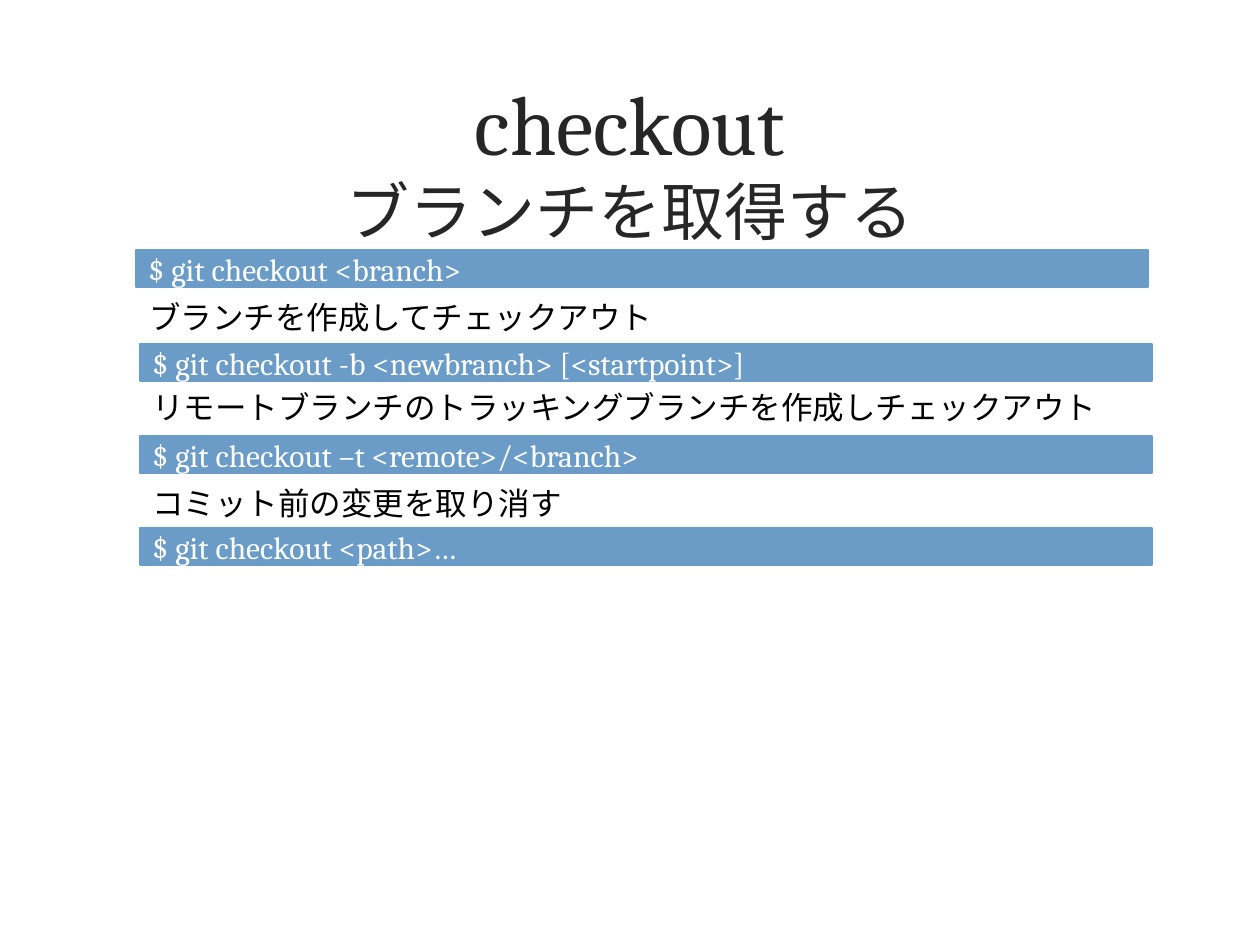
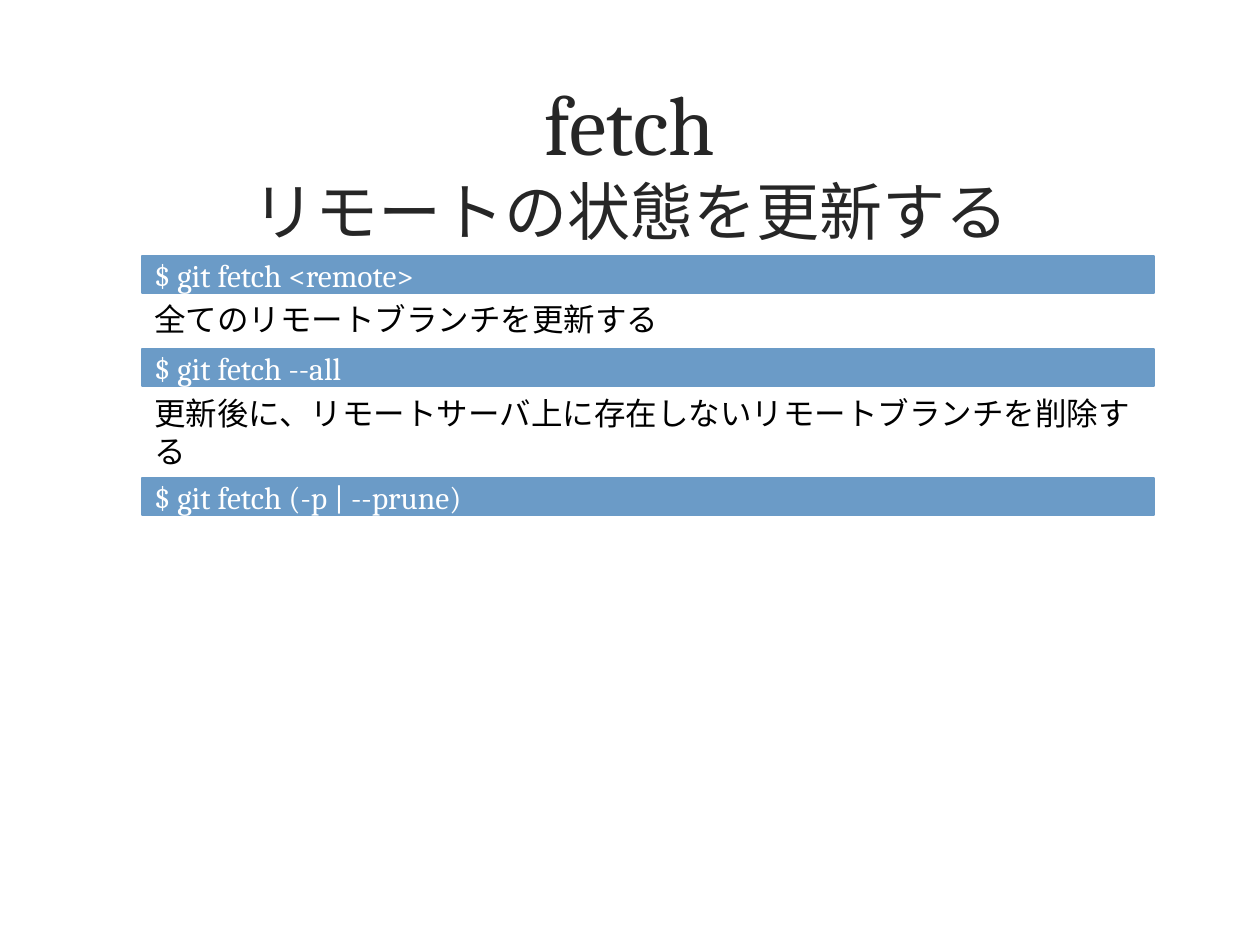
from typing import NamedTuple

from pptx import Presentation
from pptx.dml.color import RGBColor
from pptx.enum.shapes import MSO_SHAPE as Shape
from pptx.enum.text import MSO_ANCHOR as Anchor, MSO_AUTO_SIZE as AutoSize, PP_ALIGN as Align
from pptx.util import Emu, Pt

PX_PER_INCH = 126
COLORS = {"title": "262626", "bar": "6B9BC7", "command": "FFFFFF", "note": "000000"}
FONT = "Cambria"
ROW_WIDTH, BAR_HEIGHT, NOTE_HEIGHT = 1012, 37, 50


class Command(NamedTuple):
    left: int
    top: int
    text: str


class Note(NamedTuple):
    left: int
    top: int
    text: str
    height: int = NOTE_HEIGHT


class Topic(NamedTuple):
    name: str
    purpose: str
    rows: tuple[Command | Note, ...]


TOPICS = (
    Topic("checkout", "ブランチを取得する", (
        Command(136, 250, "$ git checkout <branch>"),
        Note(137, 292, "ブランチを作成してチェックアウト"),
        Command(140, 344, "$ git checkout -b <newbranch> [<startpoint>]"),
        Note(140, 382, "リモートブランチのトラッキングブランチを作成しチェックアウト"),
        Command(140, 436, "$ git checkout –t <remote>/<branch>"),
        Note(140, 478, "コミット前の変更を取り消す"),
        Command(140, 528, "$ git checkout <path>…"),
    )),
    Topic("fetch", "リモートの状態を更新する", (
        Command(142, 256, "$ git fetch <remote>"),
        Note(142, 294, "全てのリモートブランチを更新する"),
        Command(142, 349, "$ git fetch --all"),
        Note(142, 388, "更新後に、リモートサーバ上に存在しないリモートブランチを削除する", 89),
        Command(142, 478, "$ git fetch (-p | --prune)"),
    )),
)


def px(length: int) -> Emu:
    return Emu(round(length * 914400 / PX_PER_INCH))


def box(*lengths: int) -> list[Emu]:
    return [px(length) for length in lengths]


def write_text(frame, text: str, *, color: str, sizes: tuple[int, ...] = (18,),
               align=Align.LEFT, anchor=Anchor.MIDDLE, auto_size=AutoSize.NONE) -> None:
    """Fill the frame with one paragraph, giving each line of text its own size."""
    frame.word_wrap = True
    frame.auto_size = auto_size
    frame.vertical_anchor = anchor
    paragraph = frame.paragraphs[0]
    paragraph.alignment = align
    for index, (line, size) in enumerate(zip(text.split("\n"), sizes)):
        if index:
            paragraph.add_line_break()
        run = paragraph.add_run()
        run.text = line
        run.font.name = FONT
        run.font.size = Pt(size)
        run.font.color.rgb = RGBColor.from_string(COLORS[color])


def draw_title(slide, topic: Topic) -> None:
    title = slide.shapes.title
    title.left, title.top, title.width, title.height = box(76, 60, 1108, 199)
    write_text(title.text_frame, f"{topic.name}\n{topic.purpose}",
               color="title", sizes=(48, 36), align=Align.CENTER)


def draw_command(slide, command: Command) -> None:
    bar = slide.shapes.add_shape(
        Shape.RECTANGLE, *box(command.left, command.top, ROW_WIDTH, BAR_HEIGHT))
    bar.shadow.inherit = False
    bar_color = RGBColor.from_string(COLORS["bar"])
    bar.fill.solid()
    bar.fill.fore_color.rgb = bar_color
    bar.line.color.rgb = bar_color
    bar.line.width = Pt(1.5)
    write_text(bar.text_frame, command.text, color="command")


def draw_note(slide, note: Note) -> None:
    caption = slide.shapes.add_textbox(*box(note.left, note.top, ROW_WIDTH, note.height))
    write_text(caption.text_frame, note.text, color="note",
               anchor=Anchor.TOP, auto_size=AutoSize.SHAPE_TO_FIT_TEXT)


def main() -> None:
    deck = Presentation()
    deck.slide_width, deck.slide_height = box(1260, 945)
    title_only = deck.slide_layouts.get_by_name("Title Only")
    for topic in TOPICS:
        slide = deck.slides.add_slide(title_only)
        draw_title(slide, topic)
        for row in topic.rows:
            if isinstance(row, Command):
                draw_command(slide, row)
            else:
                draw_note(slide, row)
    deck.save("out.pptx")


if __name__ == "__main__":
    main()
